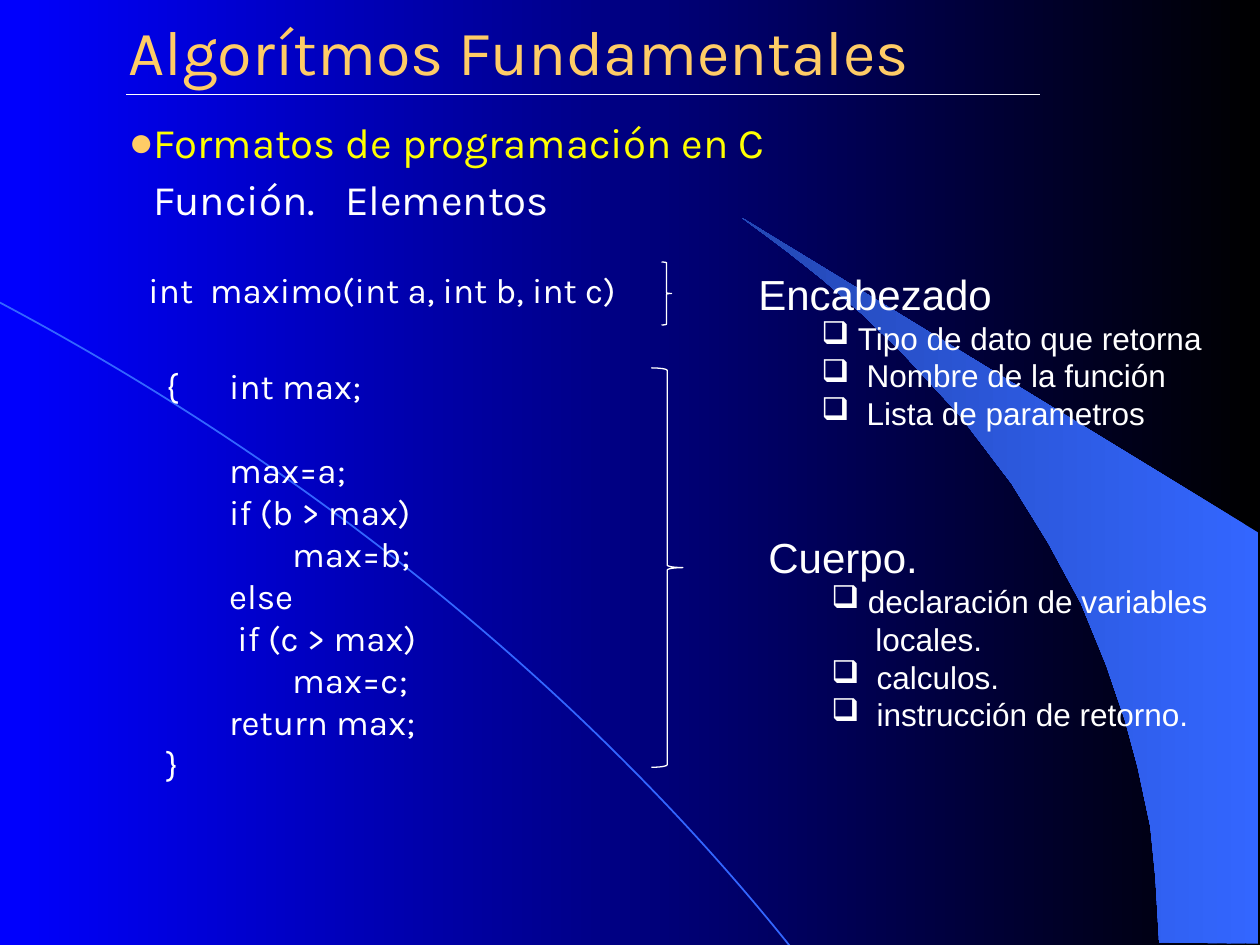
from lxml.etree import SubElement
from pptx import Presentation
from pptx.dml.color import RGBColor
from pptx.enum.shapes import MSO_CONNECTOR, MSO_SHAPE
from pptx.enum.text import MSO_ANCHOR, MSO_AUTO_SIZE, PP_ALIGN
from pptx.oxml.ns import qn
from pptx.util import Pt

PX = 9144  # 100 px to the inch
BLACK = RGBColor(0x00, 0x00, 0x00)
BLUE = RGBColor(0x00, 0x00, 0xFF)
SKY = RGBColor(0x33, 0x66, 0xFF)
DEEP_SKY = RGBColor(0x24, 0x48, 0xB4)
GOLD = RGBColor(0xFF, 0xCC, 0x66)
YELLOW = RGBColor(0xFF, 0xFF, 0x00)
WHITE = RGBColor(0xFF, 0xFF, 0xFF)

SWOOSH = [
    (920, 748), (999, 749), (999, 423), (589, 173), (624, 199), (653, 222),
    (685, 250), (716, 280), (762, 330), (803, 384), (832, 431), (858, 479),
    (878, 528), (893, 572), (903, 609), (913, 656), (917, 696),
]
CODE = [
    "{\tint max;", "\tmax=a;", "\tif (b > max)", "\t\tmax=b;", "\telse",
    "\t if (c > max)", "\t\tmax=c;", "\treturn max;", "}",
]
# Each list item: text, left edge of the text in px, whether it has a bullet
HEADER_ITEMS = [
    ("Tipo de dato que retorna", 79, True),
    ("Nombre de la función", 86, True),
    ("Lista de parametros", 86, True),
]
BODY_ITEMS = [
    ("declaración de variables", 79, True),
    ("locales.", 85, False),
    ("calculos.", 86, True),
    ("instrucción de retorno.", 86, True),
]


def set_all(target, values):
    for name, value in values.items():
        setattr(target, name, value)


class SlideBuilder:
    def __init__(self, slide):
        self.slide = slide
        self.shapes = slide.shapes

    def gradient(self, fill, colors):
        fill.gradient()
        fill.gradient_angle = 180
        for stop, color in zip(fill.gradient_stops, colors):
            stop.color.rgb = color

    def place(self, shape, left, top, width, height, anchor=MSO_ANCHOR.TOP):
        """Set the box of a text shape and return its text frame."""
        set_all(shape, {"left": left * PX, "top": top * PX,
                        "width": width * PX, "height": height * PX})
        set_all(shape.text_frame, {"word_wrap": True, "vertical_anchor": anchor,
                                   "auto_size": MSO_AUTO_SIZE.NONE})
        return shape.text_frame

    def text_box(self, left, top, width, height):
        shape = self.shapes.add_textbox(0, 0, PX, PX)
        return self.place(shape, left, top, width, height)

    def paragraph(self, frame, text, size, font="Karla", color=WHITE, **layout):
        """Fill the empty first paragraph of the frame, or add one after it."""
        first = frame.paragraphs[0]
        paragraph = frame.add_paragraph() if first.text else first
        paragraph.text = text
        set_all(paragraph, {"alignment": PP_ALIGN.LEFT, "space_before": Pt(0), **layout})
        set_all(paragraph.runs[0].font, {"name": font, "size": Pt(size)})
        paragraph.runs[0].font.color.rgb = color
        return paragraph

    def bullet(self, paragraph, mark, color, margin, hanging):
        properties = paragraph._p.get_or_add_pPr()
        properties.set("marL", str(margin * PX))
        properties.set("indent", str(-hanging * PX))
        if mark:
            bullet_color = SubElement(properties, qn("a:buClr"))
            SubElement(bullet_color, qn("a:srgbClr")).set("val", str(color))
            SubElement(properties, qn("a:buChar")).set("char", mark)

    def tab_stop(self, paragraph, position):
        tabs = SubElement(paragraph._p.get_or_add_pPr(), qn("a:tabLst"))
        tab = SubElement(tabs, qn("a:tab"))
        tab.set("pos", str(position * PX))
        tab.set("algn", "l")

    def element_list(self, left, top, width, height, heading, items):
        frame = self.text_box(left, top, width, height)
        self.paragraph(frame, heading, 24, "Arial")
        for text, margin, marked in items:
            paragraph = self.paragraph(frame, text, 18, "Arial")
            self.bullet(paragraph, "❑" if marked else None, WHITE,
                        margin, margin - 50 if marked else 0)

    def connector(self, kind, start, end, color):
        connector = self.shapes.add_connector(
            kind, *(value * PX for value in (*start, *end)))
        connector.line.width = Pt(1)
        connector.line.color.rgb = color
        SubElement(connector._element.spPr, qn("a:effectLst"))
        return connector

    def brace(self, left, top, width, height):
        shape = self.shapes.add_shape(
            MSO_SHAPE.RIGHT_BRACE, left * PX, top * PX, width * PX, height * PX)
        shape.shadow.inherit = False
        shape.adjustments[0] = 0.08
        shape.fill.background()
        shape.line.width = Pt(0.75)
        shape.line.color.rgb = WHITE

    def polygon(self, points, colors):
        builder = self.shapes.build_freeform(*points[0], scale=PX)
        builder.add_line_segments(points[1:], close=True)
        shape = builder.convert_to_shape()
        shape.shadow.inherit = False
        shape.line.fill.background()
        self.gradient(shape.fill, colors)


def main():
    presentation = Presentation()
    set_all(presentation, {"slide_width": 1000 * PX, "slide_height": 750 * PX})
    slide = presentation.slides.add_slide(presentation.slide_layouts[1])
    builder = SlideBuilder(slide)

    builder.gradient(slide.background.fill, (BLACK, BLUE))
    builder.polygon(SWOOSH, (SKY, DEEP_SKY))
    arc = builder.connector(MSO_CONNECTOR.CURVE, (-919, 1), (920, 1498), SKY)
    arc._element.spPr.find(qn("a:prstGeom")).set("prst", "curvedConnector2")

    title = builder.place(slide.shapes.title, 92, 17, 850, 58, MSO_ANCHOR.BOTTOM)
    builder.paragraph(title, "Algorítmos Fundamentales", 36, color=GOLD)
    builder.connector(MSO_CONNECTOR.STRAIGHT, (100, 75), (825, 75), WHITE)

    body = builder.place(slide.placeholders[1], 92, 92, 850, 42)
    topic = builder.paragraph(body, "Formatos de programación en C", 24,
                              color=YELLOW, line_spacing=0.9)
    builder.bullet(topic, "●", GOLD, 20, 20)

    subtitle = builder.text_box(112, 133, 338, 50)
    builder.tab_stop(builder.paragraph(subtitle, "Función.\tElementos", 24), 152)

    signature = builder.text_box(108, 208, 525, 77)
    builder.paragraph(signature, "int  maximo(int a, int b, int c)", 20,
                      alignment=PP_ALIGN.JUSTIFY)

    code = builder.text_box(122, 284, 317, 383)
    for line in CODE:
        gap = Pt(24 if line == "\tmax=a;" else 0)
        builder.paragraph(code, line, 20, space_before=gap)

    builder.element_list(592, 208, 408, 140, "Encabezado", HEADER_ITEMS)
    builder.brace(525, 208, 8, 50)
    builder.brace(517, 292, 25, 317)
    builder.element_list(600, 417, 376, 170, "Cuerpo.", BODY_ITEMS)

    presentation.save("out.pptx")


if __name__ == "__main__":
    main()
